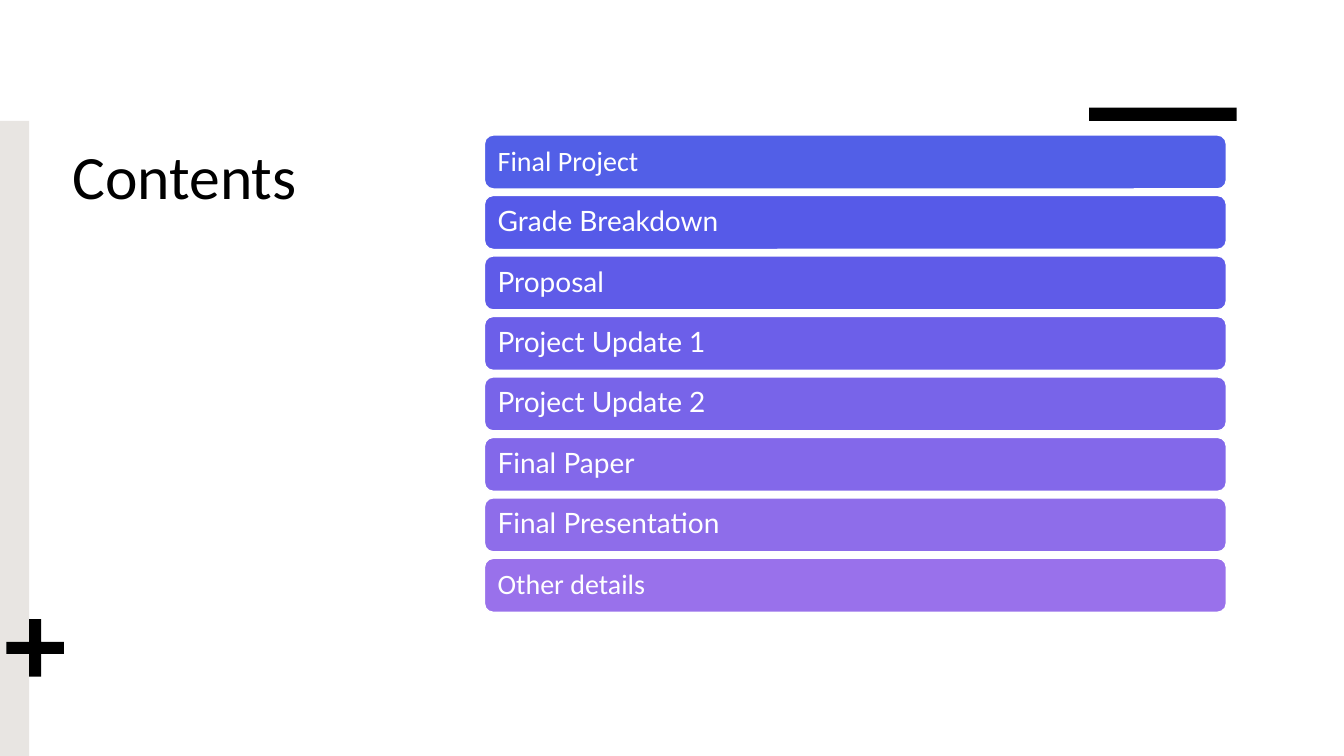
from dataclasses import dataclass

from pptx import Presentation
from pptx import util as u
from pptx.dml.color import RGBColor
from pptx.enum import shapes, text


@dataclass(frozen=True)
class Theme:
    """Colours, fonts and type sizes of the slide."""
    ink: str = "000000"
    paper: str = "FFFFFF"
    sand: str = "E8E5E2"
    title_font: str = "Calibri"
    topic_font: str = "Lato"
    title_size: int = 44
    topic_size: int = 20


class Page:
    """Draws styled elements on one slide, with lengths in points."""

    def __init__(self, deck, theme):
        self.theme = theme
        self.slide = deck.slides.add_slide(deck.slide_layouts[6])

    def shape(self, kind, left, top, width, height, fill, outline=None):
        """Add a filled preset shape."""
        shape = self.slide.shapes.add_shape(
            kind, *map(u.Pt, (left, top, width, height)))
        shape.shadow.inherit = False
        shape.fill.solid()
        shape.fill.fore_color.rgb = RGBColor.from_string(fill)
        if outline:
            shape.line.color.rgb = RGBColor.from_string(outline)
            shape.line.width = u.Pt(1)
        else:
            shape.line.fill.background()
        return shape

    def label(self, box, words, font, size, color, anchor, inset):
        """Put one left-aligned paragraph in a shape or text box."""
        frame = box.text_frame
        frame.word_wrap = True
        frame.vertical_anchor = anchor
        frame.margin_left = frame.margin_right = u.Pt(inset)
        para = frame.paragraphs[0]
        para.text = words
        para.alignment = text.PP_ALIGN.LEFT
        para.font.name = font
        para.font.size = u.Pt(size)
        para.font.color.rgb = RGBColor.from_string(color)
        return para

    def title(self, words, left, top, width, height):
        """Add the slide title."""
        box = self.slide.shapes.add_textbox(
            *map(u.Pt, (left, top, width, height)))
        self.label(box, words, self.theme.title_font, self.theme.title_size,
                   self.theme.ink, text.MSO_ANCHOR.TOP, 7.2)

    def topic(self, words, font, fill, top):
        """Add one rounded bar of the contents list."""
        bar = self.shape(shapes.MSO_SHAPE.ROUNDED_RECTANGLE,
                         346, top, 530, 38.6, fill, self.theme.paper)
        para = self.label(bar, words, font, self.theme.topic_size,
                          self.theme.paper, text.MSO_ANCHOR.MIDDLE, 7.6)
        para.line_spacing = 0.9


def main():
    """Build and save the contents slide."""
    theme = Theme()
    deck = Presentation()
    deck.slide_width, deck.slide_height = u.Pt(960), u.Pt(540)
    page = Page(deck, theme)

    rectangle = shapes.MSO_SHAPE.RECTANGLE
    page.title("Contents", 44.6, 95, 252, 342)
    page.shape(rectangle, 778, 76.8, 105.3, 9.6, theme.ink)
    page.shape(rectangle, 0, 86.4, 20.8, 453.6, theme.sand)
    plus = page.shape(shapes.MSO_SHAPE.CROSS, 4.5, 442.2, 41.2, 41.2, theme.ink)
    plus.adjustments[0] = 0.395

    topics = [
        ("Final Project", theme.title_font, "525FE7"),
        ("Grade Breakdown", theme.topic_font, "565AE8"),
        ("Proposal", theme.topic_font, "5F5BE8"),
        ("Project Update 1", theme.topic_font, "6C5FE9"),
        ("Project Update 2", theme.topic_font, "7864E9"),
        ("Final Paper", theme.topic_font, "8368EA"),
        ("Final Presentation", theme.topic_font, "8E6DEA"),
        ("Other details", theme.title_font, "9971EB"),
    ]
    for row, (words, font, fill) in enumerate(topics):
        page.topic(words, font, fill, 96.4 + 43.2 * row)

    deck.save("out.pptx")


if __name__ == "__main__":
    main()
